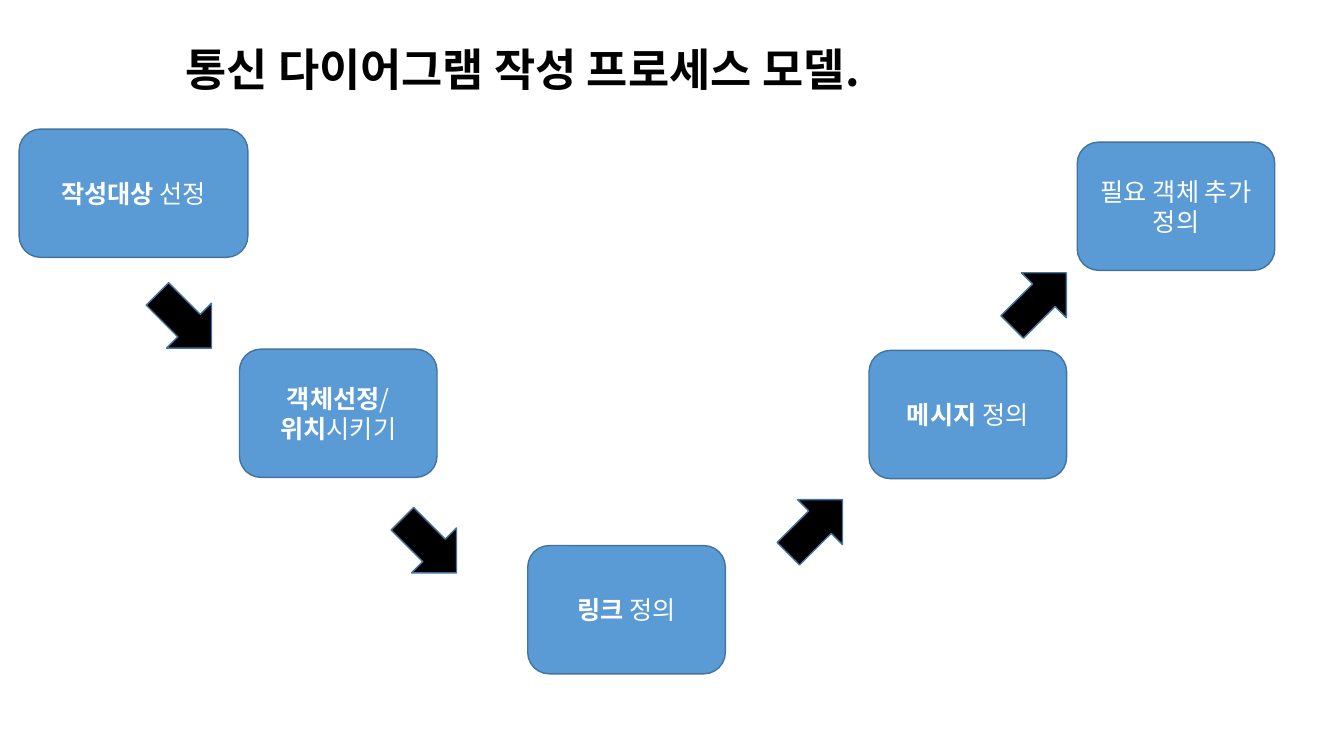
from lxml.etree import SubElement
from pptx import Presentation
from pptx.dml.color import RGBColor
from pptx.enum.shapes import MSO_SHAPE
from pptx.enum.text import MSO_ANCHOR, PP_ALIGN
from pptx.oxml.ns import qn
from pptx.util import Pt

TITLE = "통신 다이어그램 작성 프로세스 모델."
STEPS = [
    (13.7, 92.2, 163.4, [[("작성대상", True), (" 선정", False)]]),
    (171.1, 249.4, 141.1, [[("객체선정", True), ("/", False)],
                           [("위치", True), ("시키기", False)]]),
    (377, 389.7, 141.1, [[("링크", True), (" 정의", False)]]),
    (620.8, 250.3, 141.1, [[("메시지 ", True), ("정의", False)]]),
    (769.5, 101.5, 141.1, [[("필요 객체 추가 정의", False)]]),
]
ARROWS = [(104.4, 206.6, 45), (279.4, 367.2, 45), (555.1, 353.5, 315), (715, 191.5, 315)]
COLORS = {"step": "5B9BD5", "outline": "43739E", "arrow": "000000",
          "title": "000000", "label": "FFFFFF"}
FONT = "Noto Sans CJK KR"
STEP_HEIGHT = 91.6
ARROW_SIZE = (54.7, 45.4)


def color(name):
    return RGBColor.from_string(COLORS[name])


def add_span(para, text, size, color_name, bold):
    span = para.add_run()
    span.text = text
    for key, value in {"name": FONT, "size": Pt(size), "bold": bold}.items():
        setattr(span.font, key, value)
    span.font.color.rgb = color(color_name)
    SubElement(span.font._element, qn("a:ea"), typeface=FONT)


def add_box(kind, left, top, width, height, fill):
    box = slide.shapes.add_shape(kind, Pt(left), Pt(top), Pt(width), Pt(height))
    box.shadow.inherit = False
    box.fill.solid()
    box.fill.fore_color.rgb = color(fill)
    box.line.color.rgb = color("outline")
    box.line.width = Pt(1)
    return box


deck = Presentation()
deck.slide_width, deck.slide_height = Pt(960), Pt(540)
slide = deck.slides.add_slide(deck.slide_layouts.get_by_name("Title Only"))

title = slide.shapes.title
for key, value in {"left": 125.3, "top": 25.9, "width": 643.7, "height": 46.1}.items():
    setattr(title, key, Pt(value))
title.text_frame.word_wrap = True
title.text_frame.vertical_anchor = MSO_ANCHOR.MIDDLE
title_para = title.text_frame.paragraphs[0]
title_para.alignment = PP_ALIGN.LEFT
add_span(title_para, TITLE, 32, "title", True)

for left, top, width, lines in STEPS:
    box = add_box(MSO_SHAPE.ROUNDED_RECTANGLE, left, top, width, STEP_HEIGHT, "step")
    frame = box.text_frame
    frame.word_wrap = True
    frame.vertical_anchor = MSO_ANCHOR.MIDDLE
    for index, spans in enumerate(lines):
        para = frame.add_paragraph() if index else frame.paragraphs[0]
        para.alignment = PP_ALIGN.CENTER
        for text, bold in spans:
            add_span(para, text, 18, "label", bold)

for left, top, angle in ARROWS:
    arrow = add_box(MSO_SHAPE.RIGHT_ARROW, left, top, *ARROW_SIZE, "arrow")
    arrow.rotation = angle

deck.save("out.pptx")
